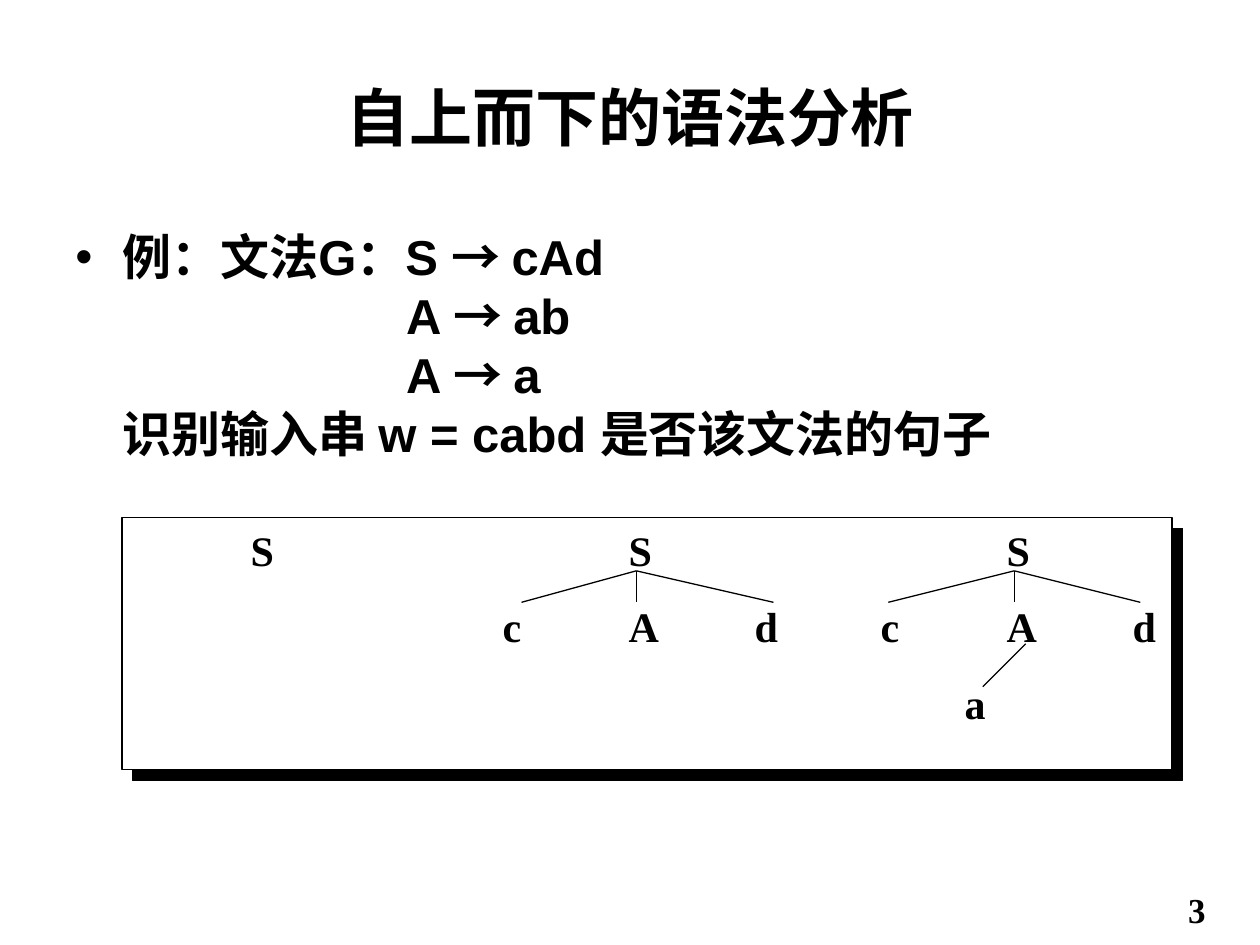
from typing import NamedTuple

from lxml import etree
from pptx import Presentation
from pptx.dml.color import RGBColor
from pptx.enum.shapes import MSO_CONNECTOR, MSO_SHAPE
from pptx.enum.text import MSO_ANCHOR, PP_ALIGN
from pptx.oxml.ns import qn
from pptx.util import Pt

STRAIGHT = MSO_CONNECTOR.STRAIGHT
RECTANGLE = MSO_SHAPE.RECTANGLE
MIDDLE = MSO_ANCHOR.MIDDLE
CENTER = PP_ALIGN.CENTER

BLACK, WHITE = "000000", "FFFFFF"
SANS, SERIF, CHINESE = "Arial", "Times New Roman", "Noto Sans CJK SC"
LINE_WIDTH = 0.75
HANG = 27
RULE_INDENT = 189


class Node(NamedTuple):
    label: str
    tab: float


class Branch(NamedTuple):
    x1: float
    y1: float
    x2: float
    y2: float


class Line(NamedTuple):
    text: str
    indent: float
    bullet: str = ""


GRAMMAR = [
    Line("例：文法G：S → cAd", HANG, "•"),
    Line("A → ab", RULE_INDENT),
    Line("A → a", RULE_INDENT),
    Line("识别输入串 w = cabd 是否该文法的句子", HANG),
]
TREE_ROWS = [
    [Node("S", 72), Node("S", 288), Node("S", 504)],
    [Node("c", 216), Node("A", 288), Node("d", 360),
     Node("c", 432), Node("A", 504), Node("d", 576)],
    [Node("a", 480)],
]
ROOT_BOTTOM, CHILD_TOP = 326.2, 344.2
CHILDREN_BY_ROOT = {363.6: (363.6, 298, 442), 579.6: (579.6, 507.6, 651.6)}
BRANCHES = [
    Branch(root, ROOT_BOTTOM, child, CHILD_TOP)
    for root, children in CHILDREN_BY_ROOT.items() for child in children
] + [Branch(586.1, 367.9, 561.6, 392.4)]


def color(value: str) -> RGBColor:
    return RGBColor.from_string(value)


def add_span(para, text: str, *, size: float, font: str) -> None:
    span = para.add_run()
    span.text = text
    span.font.size = Pt(size)
    span.font.name = font
    span.font.bold = True
    span.font.color.rgb = color(BLACK)
    latin = span.font._element.find(qn("a:latin"))
    east_asian = etree.Element(qn("a:ea"), typeface=CHINESE)
    latin.addnext(east_asian)


def add_box(page, left: float, top: float, width: float, height: float):
    box = page.shapes.add_textbox(Pt(left), Pt(top), Pt(width), Pt(height))
    box.text_frame.word_wrap = True
    return box.text_frame


def next_paragraph(frame, index: int):
    return frame.add_paragraph() if index else frame.paragraphs[0]


def add_grammar(page) -> None:
    frame = add_box(page, 36, 126, 648, 356.4)
    for index, line in enumerate(GRAMMAR):
        para = next_paragraph(frame, index)
        properties = para._p.get_or_add_pPr()
        properties.set("marL", str(Pt(line.indent)))
        if line.bullet:
            properties.set("indent", str(-Pt(HANG)))
            bullet_color = etree.SubElement(properties, qn("a:buClr"))
            etree.SubElement(bullet_color, qn("a:srgbClr"), val=BLACK)
            etree.SubElement(properties, qn("a:buFont"), typeface=SANS)
            etree.SubElement(properties, qn("a:buChar"), char=line.bullet)
        before, arrow, after = line.text.partition("→ ")
        add_span(para, before, size=28, font=SANS)
        if arrow:
            add_span(para, arrow, size=28, font=CHINESE)
            add_span(para, after, size=28, font=SANS)


def add_panel(page) -> None:
    """Draw the white panel with its hard shadow at the lower right."""
    panel = page.shapes.add_shape(RECTANGLE, Pt(69.8), Pt(295.9), Pt(600), Pt(144))
    panel.fill.solid()
    panel.fill.fore_color.rgb = color(WHITE)
    panel.line.color.rgb = color(BLACK)
    panel.line.width = Pt(LINE_WIDTH)
    panel.shadow.inherit = False
    effects = panel._element.spPr.find(qn("a:effectLst"))
    shadow = etree.SubElement(effects, qn("a:outerShdw"), blurRad="0",
                              dist=str(Pt(8.5)), dir=str(45 * 60000),
                              algn="ctr", rotWithShape="0")
    etree.SubElement(shadow, qn("a:srgbClr"), val=BLACK)


def add_tree_labels(page) -> None:
    frame = add_box(page, 64.1, 295.9, 642.2, 123.8)
    for index, row in enumerate(TREE_ROWS):
        para = next_paragraph(frame, index)
        if index:
            para.space_before = Pt(15)
        tabs = etree.SubElement(para._p.get_or_add_pPr(), qn("a:tabLst"))
        for node in row:
            etree.SubElement(tabs, qn("a:tab"), pos=str(Pt(node.tab)), algn="l")
        text = "".join("\t" + node.label for node in row)
        add_span(para, text, size=24, font=SERIF)


def add_branch(page, branch: Branch) -> None:
    connector = page.shapes.add_connector(STRAIGHT, *(Pt(value) for value in branch))
    connector.line.color.rgb = color(BLACK)
    connector.line.width = Pt(LINE_WIDTH)
    etree.SubElement(connector._element.spPr, qn("a:effectLst"))


def main() -> None:
    deck = Presentation()
    deck.slide_width, deck.slide_height = Pt(720), Pt(540)
    page = deck.slides.add_slide(deck.slide_layouts[5])

    title = page.shapes.title
    title.left, title.top, title.width, title.height = Pt(36), Pt(21.6), Pt(648), Pt(90)
    title.text_frame.vertical_anchor = MIDDLE
    heading = title.text_frame.paragraphs[0]
    heading.alignment = CENTER
    add_span(heading, "自上而下的语法分析", size=36, font=SANS)

    add_grammar(page)
    add_panel(page)
    add_tree_labels(page)
    for branch in BRANCHES:
        add_branch(page, branch)

    number = add_box(page, 671.8, 504, 48.2, 31.7)
    add_span(number.paragraphs[0], "3", size=20, font=SERIF)
    deck.save("out.pptx")


if __name__ == "__main__":
    main()
